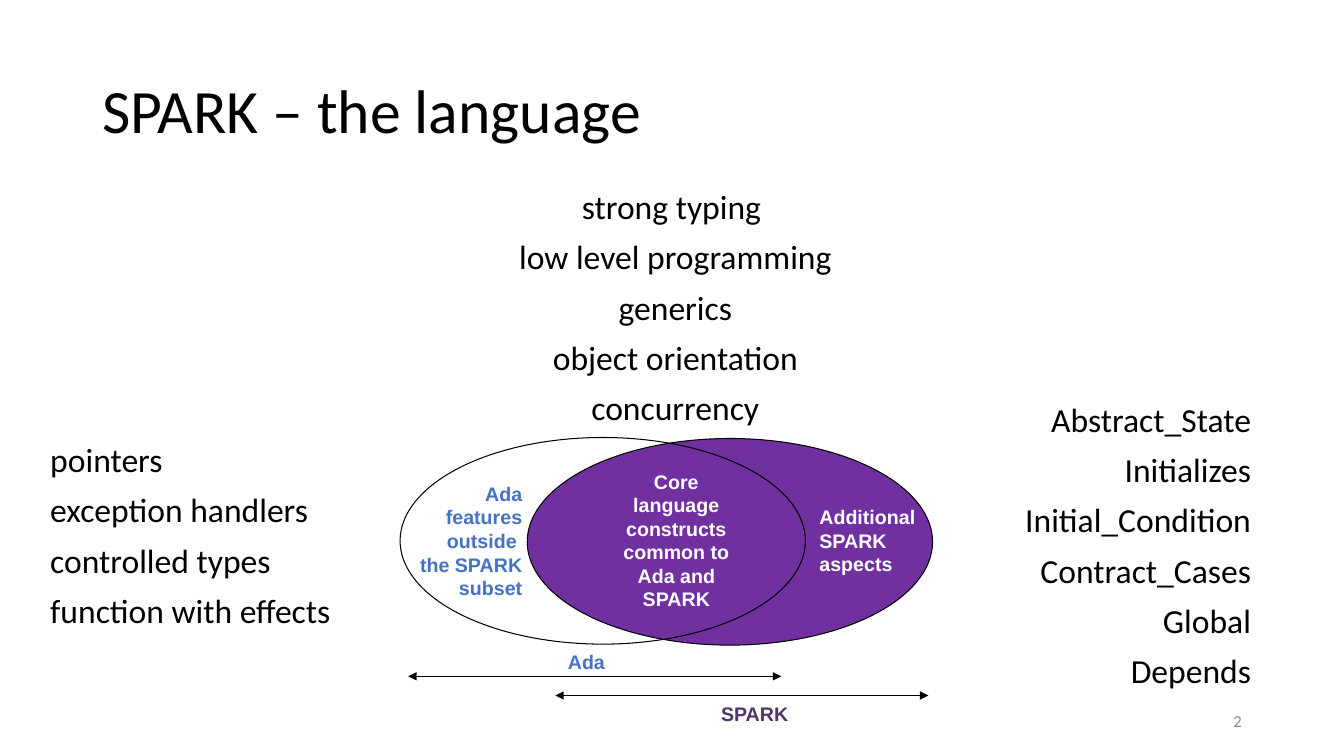
from pptx import Presentation
from pptx.dml.color import RGBColor
from pptx.enum.shapes import MSO_CONNECTOR as Link, MSO_SHAPE as Shape
from pptx.enum.text import MSO_ANCHOR as Anchor, PP_ALIGN as Align
from pptx.oxml.ns import qn
from pptx.util import Pt
from lxml.etree import SubElement as Sub

BLACK = RGBColor(0x00, 0x00, 0x00)
WHITE = RGBColor(0xFF, 0xFF, 0xFF)
BLUE = RGBColor(0x44, 0x72, 0xC4)
PURPLE = RGBColor(0x70, 0x30, 0xA0)
PLUM = RGBColor(0x50, 0x35, 0x6A)
GRAY = RGBColor(0x8C, 0x8C, 0x8C)


def add_text(slide, box, lines, size, color=BLACK, align=Align.LEFT,
             font="Calibri", bold=False, anchor=Anchor.TOP,
             pitch=1.0, before=0):
    frame = slide.shapes.add_textbox(*map(Pt, box)).text_frame
    frame.word_wrap = True
    frame.vertical_anchor = anchor
    for i, line in enumerate(lines):
        para = frame.add_paragraph() if i else frame.paragraphs[0]
        para.alignment = align
        para.line_spacing = pitch
        para.space_before = Pt(before)
        run = para.add_run()
        run.text = line
        run.font.name = font
        run.font.size = Pt(size)
        run.font.bold = bold
        run.font.color.rgb = color


def add_list(slide, box, lines, align):
    add_text(slide, box, lines, 24, align=align, pitch=0.9, before=10)


def add_label(slide, box, lines, color, align):
    add_text(slide, box, lines, 14, color, align, "Arial", True)


def add_oval(slide, left, top, fill=None):
    oval = slide.shapes.add_shape(Shape.OVAL, Pt(left), Pt(top),
                                  Pt(289.5), Pt(147.6))
    oval.shadow.inherit = False
    if fill is None:
        oval.fill.background()
    else:
        oval.fill.solid()
        oval.fill.fore_color.rgb = fill
    oval.line.color.rgb = BLACK
    oval.line.width = Pt(0.75)


def add_span(slide, left, y):
    """Draw a horizontal arrow with a head at each end."""
    span = slide.shapes.add_connector(Link.STRAIGHT, Pt(left), Pt(y),
                                      Pt(left + 266.4), Pt(y))
    span.line.color.rgb = BLACK
    span.line.width = Pt(0.75)
    line = span.line._get_or_add_ln()
    for end in ("a:headEnd", "a:tailEnd"):
        Sub(line, qn(end), type="triangle")
    Sub(span._element.spPr, qn("a:effectLst"))


def main():
    deck = Presentation()
    deck.slide_width, deck.slide_height = Pt(960), Pt(540)
    slide = deck.slides.add_slide(deck.slide_layouts[6])

    # Title
    add_text(slide, (66, 28.8, 828, 104.4), ["SPARK – the language"], 44,
             anchor=Anchor.MIDDLE, pitch=0.9)

    # Features found only in Ada
    add_list(slide, (28.8, 313.2, 222.5, 215.3),
             ["pointers", "exception handlers", "controlled types",
              "function with effects"], Align.LEFT)

    # Overlapping languages
    add_oval(slide, 376.6, 313.2, PURPLE)
    add_oval(slide, 285.8, 312.5)
    add_label(slide, (269.3, 340.6, 110.9, 92.2),
              ["Ada", "features outside ", "the SPARK subset"],
              BLUE, Align.RIGHT)
    add_label(slide, (427.7, 331.9, 110.9, 108.7),
              ["Core language constructs common to Ada and SPARK"],
              WHITE, Align.CENTER)
    add_label(slide, (578.2, 357.1, 110.9, 58.3),
              ["Additional SPARK aspects"], WHITE, Align.LEFT)

    # Extent of each language
    add_span(slide, 291.6, 483.1)
    add_label(slide, (396.7, 460.8, 42.5, 24.5), ["Ada"], BLUE, Align.RIGHT)
    add_span(slide, 396.7, 496.8)
    add_label(slide, (501.8, 498.2, 68.4, 24.5), ["SPARK"], PLUM, Align.RIGHT)

    # Aspects added by SPARK
    add_list(slide, (678.2, 284.4, 222.5, 200.9),
             ["Abstract_State", "Initializes", "Initial_Condition",
              "Contract_Cases", "Global", "Depends"], Align.RIGHT)

    # Features in common
    add_list(slide, (280.1, 132.5, 404.6, 215.3),
             ["strong typing ", "low level programming", "generics",
              "object orientation", "concurrency"], Align.CENTER)

    # Slide number
    add_text(slide, (678.2, 500.4, 216, 28.8), ["2"], 12, GRAY, Align.RIGHT,
             anchor=Anchor.MIDDLE)

    deck.save("out.pptx")


if __name__ == "__main__":
    main()
